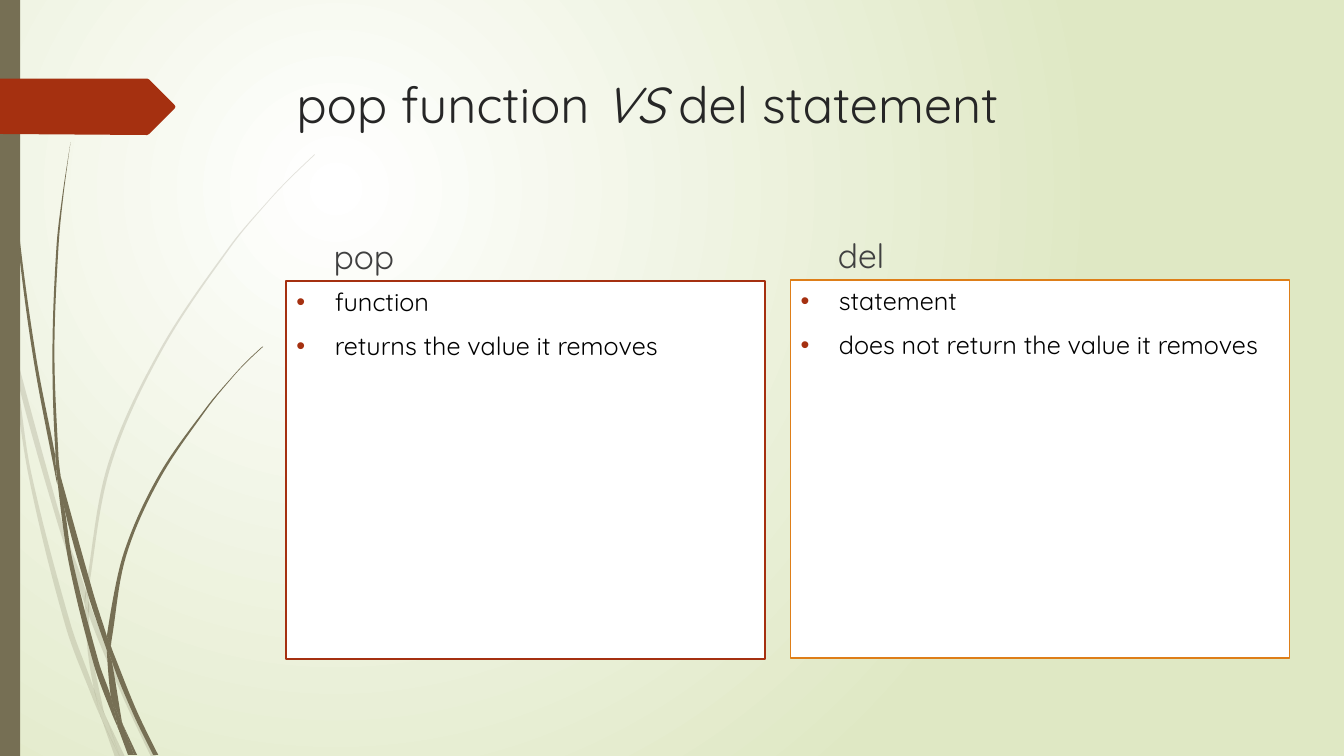
from math import dist, hypot

from lxml.etree import Element, SubElement
from pptx import Presentation
from pptx.dml.color import RGBColor
from pptx.enum.text import MSO_ANCHOR, MSO_AUTO_SIZE, PP_ALIGN
from pptx.enum.shapes import MSO_SHAPE
from pptx.oxml.ns import qn
from pptx.util import Emu, Pt

PX = 9144
FONT = "Quicksand"
OLIVE, RUST, ORANGE = "766F54", "A53010", "DE7E18"
INDENT = 38

# Grass: outlines of the blade pieces, as x, y pairs in px
PALE_GRASS = [
    "11,350 9,322 0,282 0,299 10,344",
    "58,522 84,599 85,586 62,520 14,345 17,376",
    "92,607 88,596 88,610 123,694 150,751 155,751 127,692",
    "119,751 124,751 105,711",
    "93,683 70,619 31,469 17,376 11,350 28,470 65,621 92,693 101,714 99,707",
    "84,599 87,646 93,683 96,692 105,711 103,706 91,646 88,610 88,608",
    "88,584 110,462 160,349 229,245 268,198 290,175 312,154 312,153 289,175 268,197"
    " 228,244 158,348 107,461 85,584 85,586 88,596",
    "101,714 114,751 119,751",
    "88,608 88,610 88,596 85,586 84,599",
    "96,692 93,683 99,707 101,714 119,751 105,711",
]
DARK_GRASS = [
    "7,110 17,233 33,355 56,477 57,481 55,457 55,453 36,355 19,232 8,109 5,48 4,0"
    " 3,0 4,48",
    "88,592 106,645 106,633 106,631 93,590 60,472 64,505",
    "113,649 110,641 111,656 132,708 152,749 157,749 136,706",
    "110,691 98,657 72,556 64,505 57,477 68,557 93,659 111,708 117,722 116,717",
    "60,472 58,453 54,349 58,245 63,193 70,141 62,193 56,245 52,349 55,449",
    "133,749 136,749 122,719",
    "57,477 64,505 60,472 55,449 55,453",
    "111,633 125,552 158,476 205,406 231,374 245,359 261,344 260,344 245,358 231,373"
    " 204,405 156,474 122,551 106,631 110,641",
    "117,722 127,749 131,749",
    "106,645 110,691 116,706 122,719 121,716 111,656 109,651",
    "106,645 109,651 111,656 110,641 106,631 106,633",
    "116,706 110,691 116,717 117,722 130,749 133,749 122,719",
]
TAG = [(0, 78), (146, 78), (148, 79), (173, 104), (174, 106), (173, 108),
       (148, 133), (146, 134), (0, 133)]


def px(length):
    return Emu(length * PX)


def color(value):
    return RGBColor.from_string(value)


def place(shape, box):
    shape.left, shape.top, shape.width, shape.height = map(px, box)


def paint(shape, fill, opacity=100):
    shape.shadow.inherit = False
    shape.fill.solid()
    shape.fill.fore_color.rgb = color(fill)
    shape.line.fill.background()
    if opacity < 100:
        tint = shape._element.spPr.find(".//" + qn("a:srgbClr"))
        SubElement(tint, qn("a:alpha"), val=str(opacity * 1000))


def add_outline(shapes, points):
    vertices = [(px(x), px(y)) for x, y in points]
    builder = shapes.build_freeform(*vertices[0])
    builder.add_line_segments(vertices[1:] + vertices[:1], close=False)
    return builder.convert_to_shape()


def tangent(before, point, after):
    """Unit direction through a point, or none at a sharp corner."""
    ax, ay = point[0] - before[0], point[1] - before[1]
    bx, by = after[0] - point[0], after[1] - point[1]
    if ax * bx + ay * by < 0.85 * hypot(ax, ay) * hypot(bx, by):
        return 0, 0
    length = dist(before, after)
    return (after[0] - before[0]) / length, (after[1] - before[1]) / length


def bend(shape, points):
    """Turn the straight sides of an outline into smooth curves."""
    count = len(points)
    left, top = (min(values) for values in zip(*points))
    slopes = [tangent(points[i - 1], points[i], points[(i + 1) % count])
              for i in range(count)]
    sides = list(shape._element.spPr.iter(qn("a:lnTo")))
    for i, side in enumerate(sides):
        j = (i + 1) % count
        start, end = points[i], points[j]
        reach = dist(start, end) / 3
        curve = Element(qn("a:cubicBezTo"))
        for (x, y), (dx, dy), sign in ((start, slopes[i], 1), (end, slopes[j], -1),
                                       (end, (0, 0), 0)):
            SubElement(curve, qn("a:pt"),
                       x=str(round((x - left + sign * dx * reach) * PX)),
                       y=str(round((y - top + sign * dy * reach) * PX)))
        side.getparent().replace(side, curve)


def add_grass(page, pieces, opacity):
    group = page.shapes.add_group_shape()
    for piece in pieces:
        points = [tuple(map(int, pair.split(","))) for pair in piece.split()]
        shape = add_outline(group.shapes, points)
        bend(shape, points)
        paint(shape, OLIVE, opacity)


def add_background(page):
    fill = page.background.fill
    fill.gradient()
    for stop, value in zip(fill.gradient_stops, ("FFFFFF", "DFE8C4")):
        stop.color.rgb = color(value)
    gradient = page._element.find(".//" + qn("a:gradFill"))
    gradient.remove(gradient.find(qn("a:lin")))
    circle = SubElement(gradient, qn("a:path"), path="circle")
    SubElement(circle, qn("a:fillToRect"),
               l="50000", t="50000", r="100000", b="100000")


def add_decoration(page, box):
    left, top, width, height = box
    add_grass(page, PALE_GRASS, 20)
    add_grass(page, DARK_GRASS, 100)
    bar = page.shapes.add_shape(MSO_SHAPE.RECTANGLE, *map(px, box))
    paint(bar, OLIVE)
    tag = add_outline(page.shapes, [(left + x, top + y) for x, y in TAG])
    paint(tag, RUST)


def prepare_text(shape, box, anchor):
    place(shape, box)
    frame = shape.text_frame
    frame.word_wrap = True
    frame.auto_size = MSO_AUTO_SIZE.NONE
    frame.vertical_anchor = anchor
    return frame


def add_span(para, text, size, ink, italic=False):
    para.alignment = PP_ALIGN.LEFT
    span = para.add_run()
    span.text = text
    span.font.name = FONT
    span.font.size = Pt(size)
    span.font.bold = False
    span.font.italic = italic
    span.font.color.rgb = color(ink)


def add_bullet(para):
    props = para._p.get_or_add_pPr()
    props.set("marL", str(px(INDENT)))
    props.set("indent", str(-px(INDENT)))
    SubElement(SubElement(props, qn("a:buClr")), qn("a:srgbClr"), val=RUST)
    SubElement(props, qn("a:buFont"), typeface="Arial")
    SubElement(props, qn("a:buChar"), char="•")


def fill_title(title, box):
    para = prepare_text(title, box, MSO_ANCHOR.TOP).paragraphs[0]
    for text, italic in (("pop function ", False), ("VS", True),
                         (" del statement", False)):
        add_span(para, text, 36, "262626", italic)


def fill_column(heading, body, box, name, points, border):
    left, top, width, height = box
    # Heading sits on top of the list, level with its text
    frame = prepare_text(
        heading, (left + 37, top - 63, 437, 63), MSO_ANCHOR.BOTTOM)
    frame.paragraphs[0].space_before = Pt(0)
    add_span(frame.paragraphs[0], name, 24, "404040")
    # Framed list
    frame = prepare_text(body, box, MSO_ANCHOR.TOP)
    body.fill.solid()
    body.fill.fore_color.rgb = color("FFFFFF")
    body.line.color.rgb = color(border)
    body.line.width = Pt(1.25)
    for i, text in enumerate(points):
        para = frame.add_paragraph() if i else frame.paragraphs[0]
        add_bullet(para)
        para.space_before = Pt(10 if i else 0)
        add_span(para, text, 18, "000000")


def main():
    deck = Presentation()
    deck.slide_width, deck.slide_height = px(1333), px(750)
    page = deck.slides.add_slide(deck.slide_layouts.get_by_name("Comparison"))
    holders = list(page.placeholders)
    title, pop_heading, pop_list, del_heading, del_list = holders

    add_background(page)
    add_decoration(page, (0, 0, 20, 750))
    # Text lies in front of the decoration
    for holder in holders:
        page.shapes._spTree.append(holder._element)
    fill_title(title, (284, 68, 975, 140))
    fill_column(pop_heading, pop_list, (284, 279, 475, 375), "pop",
                ["function", "returns the value it removes"], RUST)
    fill_column(del_heading, del_list, (784, 278, 495, 375), "del",
                ["statement", "does not return the value it removes"], ORANGE)
    deck.save("out.pptx")


if __name__ == "__main__":
    main()
